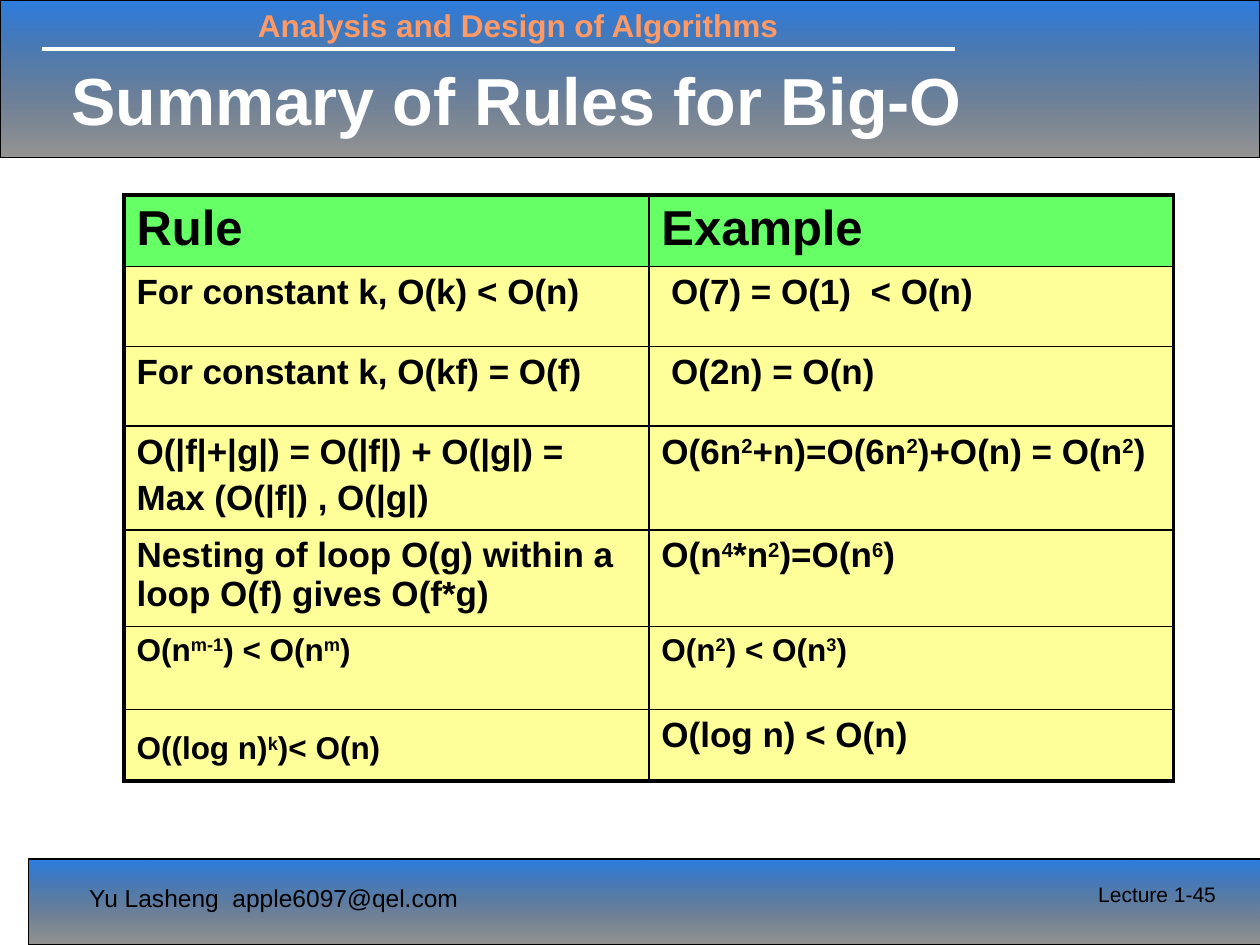
from pptx import Presentation
from pptx import util as u
from pptx.dml import color
from pptx.enum import shapes, text
from pptx.oxml import ns
from lxml import etree

COLORS = {
    "blue": "0E6BDC",
    "black": "000000",
    "white": "FFFFFF",
    "orange": "FF9966",
    "green": "66FF66",
    "yellow": "FFFF99",
}
FONT = "Arial"
COL_WIDTH = 10.58
ROW_HEIGHTS = [1.44, 1.61, 1.61, 1.95, 1.83, 1.67, 1.37]
# ROWS_PLACEHOLDER
""" """
ROWS = [
    (28, "Rule", 28, "Example"),
    (20, "For constant k, O(k) < O(n)", 20, " O(7) = O(1)  < O(n)"),
    (20, "For constant k, O(kf) = O(f)", 20, " O(2n) = O(n)"),
    (20, "O(|f|+|g|) = O(|f|) + O(|g|) =\nMax (O(|f|) , O(|g|)",
     20, "O(6n^2^+n)=O(6n^2^)+O(n) = O(n^2^)"),
    (20, "Nesting of loop O(g) within a loop O(f) gives O(f*g)",
     20, "O(n^4^*n^2^)=O(n^6^)"),
    (18, "O(n^m-1^) < O(n^m^)", 18, "O(n^2^) < O(n^3^)"),
    (18, "O((log n)^k^)< O(n)", 20, "O(log n) < O(n)"),
]


def rgb(name):
    return color.RGBColor.from_string(COLORS[name])


def style(r, size, name, bold=False):
    r.font.name = FONT
    r.font.size = u.Pt(size)
    r.font.bold = bold
    r.font.color.rgb = rgb(name)


def add_band(s, left, top, height):
    sp = s.shapes.add_shape(shapes.MSO_SHAPE.RECTANGLE, u.Cm(left), u.Cm(top),
                            u.Cm(25.4), u.Cm(height))
    sp.shadow.inherit = False
    sp.fill.gradient()
    sp.fill.gradient_angle = 270
    stops = zip(sp.fill.gradient_stops, ("blue", "black"), (0, 1), (88, 41))
    for stop, name, position, opacity in stops:
        stop.color.rgb = rgb(name)
        stop.position = position
        clr = stop._gs.find(ns.qn("a:srgbClr"))
        etree.SubElement(clr, ns.qn("a:alpha"), val=str(opacity * 1000))
    sp.line.color.rgb = rgb("black")
    sp.line.width = u.Pt(0.75)


def add_rule(s, x1, x2, y):
    line = s.shapes.add_connector(shapes.MSO_CONNECTOR.STRAIGHT,
                                  u.Cm(x1), u.Cm(y), u.Cm(x2), u.Cm(y))
    line.line.color.rgb = rgb("white")
    line.line.width = u.Pt(2.25)
    etree.SubElement(line._element.spPr, ns.qn("a:effectLst"))


def add_label(s, box, content, size, name, bold=False, wrap=True, middle=False):
    sp = s.shapes.add_textbox(*(u.Cm(v) for v in box))
    tf = sp.text_frame
    tf.word_wrap = wrap
    if middle:
        tf.vertical_anchor = text.MSO_ANCHOR.MIDDLE
    tf.text = content
    style(tf.paragraphs[0].runs[0], size, name, bold)


def set_borders(cell, widths):
    tc_pr = cell._tc.get_or_add_tcPr()
    for side, width in zip("LRTB", widths):
        ln = etree.SubElement(tc_pr, ns.qn(f"a:ln{side}"), w=str(u.Pt(width)))
        fill = etree.SubElement(ln, ns.qn("a:solidFill"))
        etree.SubElement(fill, ns.qn("a:srgbClr"), val=COLORS["black"])


def write_cell(cell, content, size):
    tf = cell.text_frame
    for i, line in enumerate(content.split("\n")):
        p = tf.add_paragraph() if i else tf.paragraphs[0]
        if i:
            p.space_before = u.Pt(size * 0.2)
        for j, part in enumerate(line.split("^")):
            r = p.add_run()
            r.text = part
            style(r, size, "black", True)
            if j % 2:
                r.font._element.set("baseline", "30000")


def add_rules_table(s):
    table = s.shapes.add_table(len(ROWS), 2, u.Cm(2.5), u.Cm(3.93),
                               u.Cm(2 * COL_WIDTH),
                               u.Cm(sum(ROW_HEIGHTS))).table
    for col in table.columns:
        col.width = u.Cm(COL_WIDTH)
    last = len(ROWS) - 1
    for i, (rule_size, rule, example_size, example) in enumerate(ROWS):
        table.rows[i].height = u.Cm(ROW_HEIGHTS[i])
        for j, (content, size) in enumerate(((rule, rule_size),
                                             (example, example_size))):
            cell = table.cell(i, j)
            outer = (j == 0, j == 1, i == 0, i == last)
            set_borders(cell, [2.25 if edge else 1 for edge in outer])
            cell.fill.solid()
            cell.fill.fore_color.rgb = rgb("yellow" if i else "green")
            write_cell(cell, content, size)
    r = table.cell(last, 0).text_frame.paragraphs[0].add_run()
    r.text = " "
    style(r, 28, "black")


def main():
    prs = Presentation()
    prs.slide_width, prs.slide_height = u.Cm(25.4), u.Cm(19.05)
    s = prs.slides.add_slide(prs.slide_layouts[6])
    add_band(s, 0, 0, 3.18)
    add_band(s, 0.58, 17.32, 1.73)
    add_rule(s, 0.84, 19.25, 0.99)
    add_label(s, (4.95, 0, 12.7, 1.02), "Analysis and Design of Algorithms",
              18, "orange", bold=True)
    add_label(s, (1.55, 17.68, 8.15, 1.45), "Yu Lasheng  apple6097@qel.com",
              14, "black", wrap=False)
    add_label(s, (1.19, 0.99, 19.84, 2.01), "Summary of Rules for Big-O",
              38, "white", bold=True, middle=True)
    add_rules_table(s)
    add_label(s, (21.89, 17.65, 3, 1.27), "Lecture 1-45", 12, "black")
    prs.save("out.pptx")


if __name__ == "__main__":
    main()
